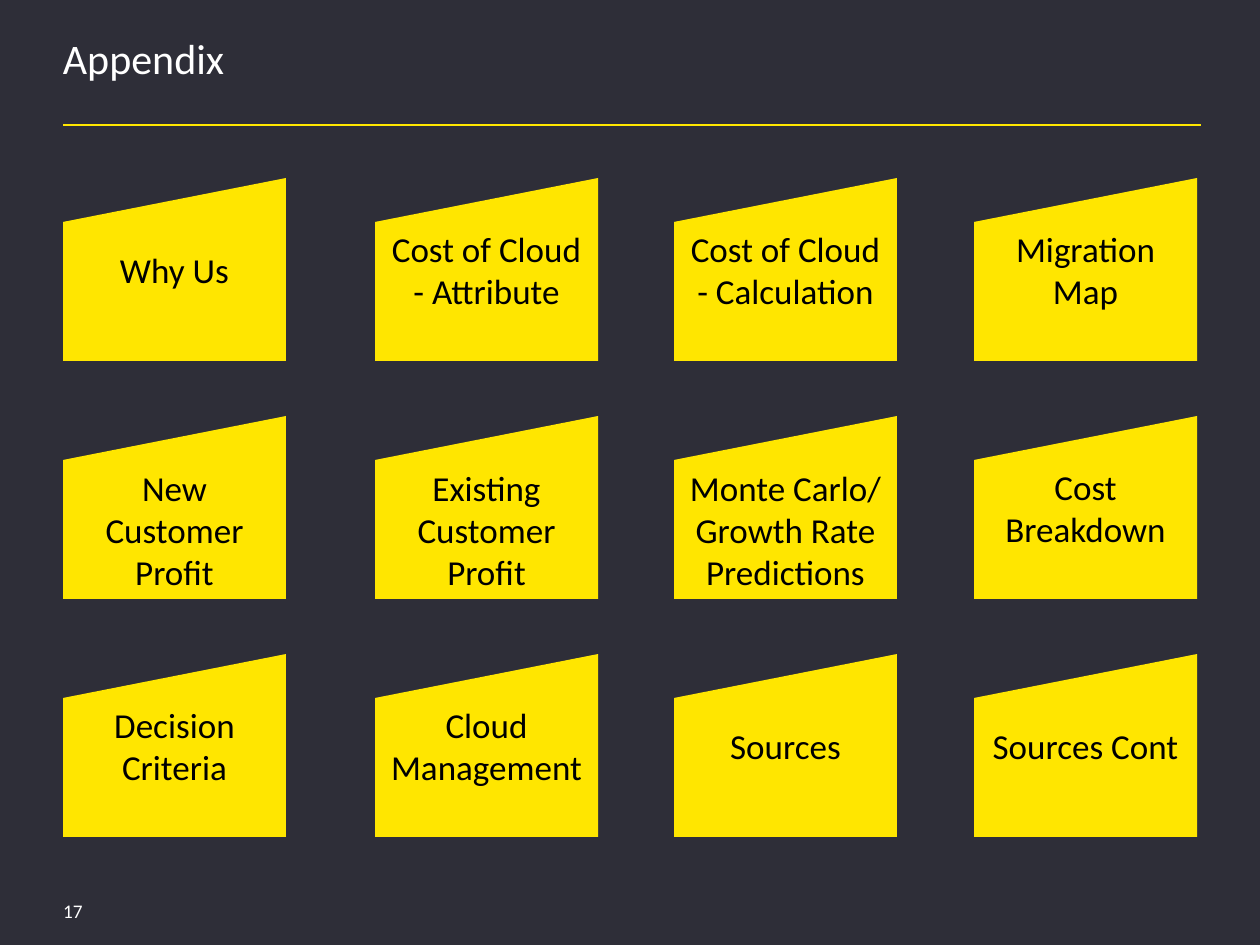
from lxml.etree import SubElement
from pptx import Presentation
from pptx.dml.color import RGBColor
from pptx.enum.shapes import MSO_CONNECTOR as CONN
from pptx.enum.text import MSO_ANCHOR as ANCHOR, PP_ALIGN as ALIGN
from pptx.oxml.ns import qn
from pptx.util import Pt

SCALE = 914400 / 126
YELLOW, WHITE, BLACK, DARK = "FFE600", "FFFFFF", "000000", "2E2E38"
COLUMNS = (63, 375, 674, 974)
TOP, ROW_PITCH = 178, 238
CARD_W, CARD_H, SLOPE = 223, 183, 44
CARDS = (
    ("Why Us", "Cost of Cloud - Attribute", "Cost of Cloud - Calculation", "Migration Map"),
    ("New Customer Profit", "Existing Customer Profit",
     "Monte Carlo/ Growth Rate Predictions", "Cost Breakdown"),
    ("Decision Criteria", "Cloud Management", "Sources", "Sources Cont"),
)
LOW_CARDS = CARDS[1][:3]


def px(n):
    """Turn px into EMU."""
    return round(n * SCALE)


def color(value):
    """Turn a hex string into a colour."""
    return RGBColor.from_string(value)


def set_attrs(obj, values):
    """Set each attribute named in a dict."""
    for name, value in values.items():
        setattr(obj, name, value)


def write(tf, text, size, ink, frame, para):
    """Write one formatted paragraph into a text frame."""
    set_attrs(tf, {"word_wrap": True, **frame})
    p = tf.paragraphs[0]
    set_attrs(p, para)
    r = p.add_run()
    r.text = text
    set_attrs(r.font, {"name": "Calibri", "size": Pt(size)})
    r.font.color.rgb = color(ink)


def add_label(s, box, text, size, anchor, para):
    """Add a white text box without margins."""
    tf = s.shapes.add_textbox(*map(px, box)).text_frame
    frame = {f"margin_{side}": 0 for side in ("left", "top", "right", "bottom")}
    write(tf, text, size, WHITE, {**frame, "vertical_anchor": anchor}, para)


def add_rule(s, x1, x2, y):
    """Add the yellow line under the title."""
    line = s.shapes.add_connector(CONN.STRAIGHT, px(x1), px(y), px(x2), px(y))
    line.line.color.rgb = color(YELLOW)
    line.line.width = Pt(1.5)
    SubElement(line._element.spPr, qn("a:effectLst"))


def add_card(s, x, y, text):
    """Add a yellow card with a slanted top edge."""
    right, bottom = x + CARD_W, y + CARD_H
    outline = s.shapes.build_freeform(right, y, scale=SCALE)
    outline.add_line_segments([(right, bottom), (x, bottom), (x, y + SLOPE)], close=True)
    sp = outline.convert_to_shape()
    sp.shadow.inherit = False
    sp.fill.solid()
    sp.fill.fore_color.rgb = color(YELLOW)
    sp.line.fill.background()
    anchor = ANCHOR.BOTTOM if text in LOW_CARDS else ANCHOR.MIDDLE
    write(sp.text_frame, text, 20, BLACK, {"vertical_anchor": anchor},
          {"alignment": ALIGN.CENTER})


def main():
    """Build the appendix slide."""
    prs = Presentation()
    set_attrs(prs, {"slide_width": px(1260), "slide_height": px(945)})
    s = prs.slides.add_slide(prs.slide_layouts[6])
    s.background.fill.solid()
    s.background.fill.fore_color.rgb = color(DARK)
    add_rule(s, 63, 1201, 125)
    add_label(s, (63, 40, 1134, 82), "Appendix", 24, ANCHOR.TOP, {"line_spacing": 0.85})
    add_label(s, (63, 898, 92, 25), "17", 11, ANCHOR.MIDDLE, {})
    for row, texts in enumerate(CARDS):
        for x, text in zip(COLUMNS, texts):
            add_card(s, x, TOP + row * ROW_PITCH, text)
    prs.save("out.pptx")


if __name__ == "__main__":
    main()
